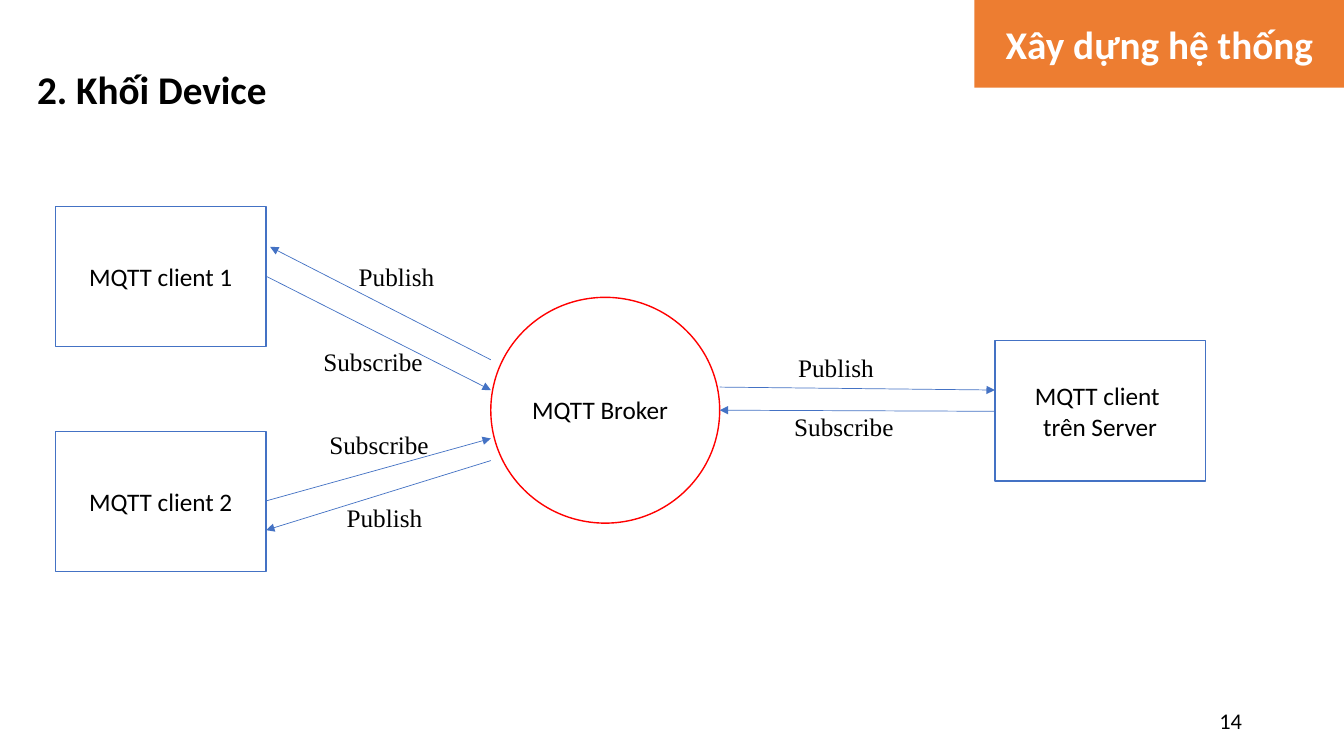
from lxml import etree
from pptx import Presentation
from pptx.dml.color import RGBColor
from pptx.enum.shapes import MSO_CONNECTOR, MSO_SHAPE
from pptx.enum.text import MSO_ANCHOR, MSO_AUTO_SIZE, PP_ALIGN
from pptx.oxml.ns import qn
from pptx.util import Pt

RECTANGLE, OVAL = MSO_SHAPE.RECTANGLE, MSO_SHAPE.OVAL
STRAIGHT = MSO_CONNECTOR.STRAIGHT
TOP, MIDDLE = MSO_ANCHOR.TOP, MSO_ANCHOR.MIDDLE
LEFT, CENTER, RIGHT = PP_ALIGN.LEFT, PP_ALIGN.CENTER, PP_ALIGN.RIGHT
FIT_SHAPE = MSO_AUTO_SIZE.SHAPE_TO_FIT_TEXT

BLACK = RGBColor(0x00, 0x00, 0x00)
WHITE = RGBColor(0xFF, 0xFF, 0xFF)
BLUE = RGBColor(0x44, 0x72, 0xC4)
ORANGE = RGBColor(0xED, 0x7D, 0x31)
RED = RGBColor(0xFF, 0x00, 0x00)

SANS, SERIF = "Calibri", "Times New Roman"

CLIENT_LEFT, CLIENT_RIGHT = 39.6, 190.1
BROKER_LEFT, BROKER_RIGHT = 350.6, 514.1
SERVER_LEFT = 710.6
CLIENT_WIDTH, CLIENT_HEIGHT = 150.5, 100.1
LABEL_HEIGHT = 28.8

CLIENTS = [
    (CLIENT_LEFT, 147.6, ["MQTT client 1"]),
    (CLIENT_LEFT, 308.2, ["MQTT client 2"]),
    (SERVER_LEFT, 243.4, ["MQTT client ", "trên Server"]),
]
ARROWS = [
    (CLIENT_RIGHT, 197.3, BROKER_LEFT, 278.6),
    (CLIENT_RIGHT, 357.8, BROKER_LEFT, 313.2),
    (BROKER_LEFT, 257, 193, 176.4),
    (BROKER_LEFT, 329, CLIENT_RIGHT, 378.7),
    (BROKER_RIGHT, 276.5, SERVER_LEFT, 278.6),
    (SERVER_LEFT, 293.8, BROKER_RIGHT, 293),
]
LABELS = {
    ("Publish", 135.4): [(249.1, 182.9), (240.5, 355), (563, 248.4)],
    ("Subscribe", 92.9): [(223.9, 244.1), (228.2, 303.1), (560.2, 290.2)],
}


def write(shape, lines, size=18, font=SANS, color=BLACK, bold=False,
          align=LEFT, anchor=TOP, wrap=True):
    """Fill a shape or text box with one paragraph per line."""
    frame = shape.text_frame
    frame.word_wrap = wrap
    frame.vertical_anchor = anchor
    frame.text = "\n".join(lines)
    for para in frame.paragraphs:
        para.alignment = align
        para.font.size = Pt(size)
        para.font.name = font
        para.font.bold = bold
        para.font.color.rgb = color


def add_text(page, left, top, width, height, text, **style):
    box = page.shapes.add_textbox(Pt(left), Pt(top), Pt(width), Pt(height))
    write(box, [text], **style)
    return box


def add_block(page, kind, left, top, width, height, fill=None, outline=None):
    """Draw a flat preset shape; None leaves out its fill or outline."""
    block = page.shapes.add_shape(kind, Pt(left), Pt(top), Pt(width), Pt(height))
    block.shadow.inherit = False
    if fill is None:
        block.fill.background()
    else:
        block.fill.solid()
        block.fill.fore_color.rgb = fill
    if outline is None:
        block.line.fill.background()
    else:
        block.line.color.rgb = outline
        block.line.width = Pt(1)
    return block


def add_arrow(page, *ends):
    arrow = page.shapes.add_connector(STRAIGHT, *map(Pt, ends))
    arrow.line.color.rgb = BLUE
    arrow.line.width = Pt(0.5)
    etree.SubElement(arrow.line._get_or_add_ln(), qn("a:tailEnd"), type="triangle")
    etree.SubElement(arrow._element.spPr, qn("a:effectLst"))


def add_label(page, left, top, width, text, **style):
    """Add a one-line diagram label whose box grows with its text."""
    label = add_text(page, left, top, width, LABEL_HEIGHT, text, **style)
    label.text_frame.auto_size = FIT_SHAPE


def main():
    deck = Presentation()
    deck.slide_width, deck.slide_height = Pt(960), Pt(540)
    page = deck.slides.add_slide(deck.slide_layouts[6])

    add_text(page, 19.4, 40.3, 696.2, 46.1, "2. Khối Device",
             size=28, bold=True, anchor=MIDDLE)
    banner = add_block(page, RECTANGLE, 696, 0, 264, 62.6, fill=ORANGE)
    write(banner, ["Xây dựng hệ thống"], size=28, color=WHITE, bold=True,
          align=CENTER, anchor=MIDDLE)

    for left, top, lines in CLIENTS:
        client = add_block(page, RECTANGLE, left, top, CLIENT_WIDTH, CLIENT_HEIGHT,
                           fill=WHITE, outline=BLUE)
        write(client, lines, align=CENTER, anchor=MIDDLE)
    add_block(page, OVAL, BROKER_LEFT, 212.4, BROKER_RIGHT - BROKER_LEFT, 161.3,
              outline=RED)
    add_label(page, 373, 277.9, 112.3, "MQTT Broker", wrap=False)

    for ends in ARROWS:
        add_arrow(page, *ends)
    for (text, width), places in LABELS.items():
        for left, top in places:
            add_label(page, left, top, width, text, font=SERIF)

    add_text(page, 678.2, 500.4, 216, 28.8, "14", size=16, align=RIGHT, anchor=MIDDLE)
    deck.save("out.pptx")


if __name__ == "__main__":
    main()
